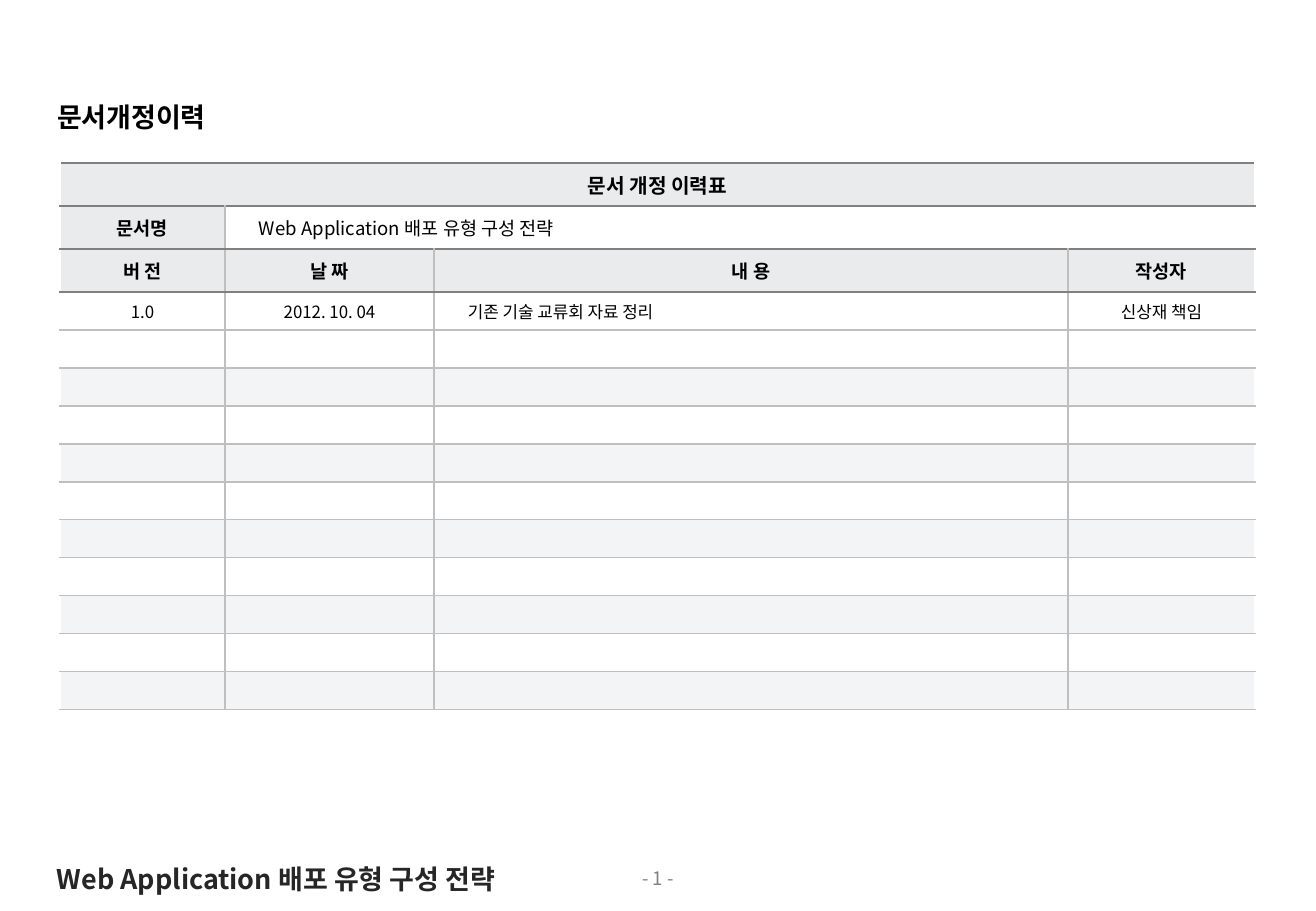
from dataclasses import dataclass

from lxml import etree
from pptx import Presentation
from pptx.dml.color import RGBColor
from pptx.enum.text import MSO_ANCHOR, MSO_AUTO_SIZE, PP_ALIGN
from pptx.oxml.ns import qn
from pptx.util import Pt

LEFT, CENTER = PP_ALIGN.LEFT, PP_ALIGN.CENTER
MIDDLE = MSO_ANCHOR.MIDDLE
NO_AUTOFIT = MSO_AUTO_SIZE.NONE
TITLE_ONLY = 5
EMU_PER_PX = 914400 / 121.5


@dataclass(frozen=True)
class Theme:
    font: str = "Noto Sans CJK KR"
    black: str = "000000"
    white: str = "FFFFFF"
    footer: str = "262626"
    page: str = "808080"
    header_fill: str = "E9EBED"
    band_fill: str = "F3F4F5"
    strong_line: str = "808080"
    light_line: str = "BFBFBF"
    title_size: int = 16
    caption_size: int = 12
    header_size: int = 11
    body_size: int = 10


def px(n):
    return round(n * EMU_PER_PX)


def write(tf, theme, text, size, color=None, bold=False, align=LEFT):
    p = tf.paragraphs[0]
    p.alignment = align
    r = p.add_run()
    r.text = text
    r.font.size, r.font.bold, r.font.name = Pt(size), bold, theme.font
    r.font.color.rgb = RGBColor.from_string(color or theme.black)
    etree.SubElement(r.font._element, qn("a:ea"), typeface=theme.font)


def set_borders(cell, left, right, top, bottom):
    tcPr = cell._tc.get_or_add_tcPr()
    edges = {"lnL": left, "lnR": right, "lnT": top, "lnB": bottom}
    for i, (tag, color) in enumerate(edges.items()):
        ln = etree.Element(qn(f"a:{tag}"), w=str(Pt(1)))
        fill = etree.SubElement(ln, qn("a:solidFill"))
        etree.SubElement(fill, qn("a:srgbClr"), val=color)
        tcPr.insert(i, ln)


class SlideBuilder:
    def __init__(self, prs, theme):
        self.theme = theme
        self.s = prs.slides.add_slide(prs.slide_layouts[TITLE_ONLY])

    def frame(self, sp, text, size, **fmt):
        tf = sp.text_frame
        tf.word_wrap = True
        tf.auto_size = NO_AUTOFIT
        tf.vertical_anchor = MIDDLE
        tf.margin_left = tf.margin_right = px(11)
        tf.margin_top = tf.margin_bottom = 0
        write(tf, self.theme, text, size, **fmt)

    def title(self, text, x, y, w, h):
        sp = self.s.shapes.title
        sp.left, sp.top, sp.width, sp.height = map(px, (x, y, w, h))
        self.frame(sp, text, self.theme.title_size, bold=True)

    def text(self, text, x, y, w, h, size, **fmt):
        sp = self.s.shapes.add_textbox(*map(px, (x, y, w, h)))
        self.frame(sp, text, size, **fmt)

    def table(self, x, y, widths, heights):
        shape = self.s.shapes.add_table(
            len(heights), len(widths), *map(px, (x, y, sum(widths), sum(heights))))
        table = shape.table
        table.first_row = table.horz_banding = False
        for column, w in zip(table.columns, widths):
            column.width = px(w)
        for row, h in zip(table.rows, heights):
            row.height = px(h)
        return table

    def cell(self, cell, text, fill, size, indent=7, **fmt):
        cell.fill.solid()
        cell.fill.fore_color.rgb = RGBColor.from_string(fill)
        cell.vertical_anchor = MIDDLE
        cell.margin_left, cell.margin_right = px(indent), px(7)
        cell.margin_top = cell.margin_bottom = px(4)
        if text:
            write(cell.text_frame, self.theme, text, size, **fmt)
        else:
            p = cell.text_frame.paragraphs[0]
            etree.SubElement(p._p, qn("a:endParaRPr"), sz=str(size * 100))

    def revision_table(self, x, y, widths, heights, rows, head_rows):
        """Fill the history table; the first two rows hold a merged caption and name."""
        t = self.theme
        table = self.table(x, y, widths, heights)
        last = len(widths) - 1
        table.cell(0, 0).merge(table.cell(0, last))
        table.cell(1, 1).merge(table.cell(1, last))
        for i in range(len(heights)):
            texts = rows[i] if i < len(rows) else ()
            dividers = min(i, 1) if i < 2 else last
            head = i < head_rows
            band = t.band_fill if i > head_rows and i % 2 else t.white
            size = t.caption_size if i == 0 else t.header_size if head else t.body_size
            top = t.strong_line if i <= head_rows else t.light_line
            bottom = t.strong_line if head else t.light_line
            for c in range(last + 1):
                cell = table.cell(i, c)
                name = i == 1 and c > 0
                label = head and not name
                indented = (i, c) in ((1, 1), (head_rows, 2))
                self.cell(cell, texts[c] if c < len(texts) else "",
                          t.header_fill if label else band, size,
                          indent=34 if indented else 7, bold=label,
                          align=LEFT if indented else CENTER)
                left, right = (t.light_line if 1 <= edge <= dividers else t.white
                               for edge in (c, c + 1))
                set_borders(cell, left, right, top, bottom)


def main():
    theme = Theme()
    prs = Presentation()
    prs.slide_width, prs.slide_height = px(1316), px(911)
    document = "Web Application 배포 유형 구성 전략"
    rows = [
        ("문서 개정 이력표",),
        ("문서명", document),
        ("버 전", "날 짜", "내 용", "작성자"),
        ("1.0", "2012. 10. 04", "기존 기술 교류회 자료 정리", "신상재 책임"),
    ]

    b = SlideBuilder(prs, theme)
    b.text("- 1 -", 0, 861, 1316, 35, theme.header_size, color=theme.page, align=CENTER)
    b.text(document, 46, 856, 497, 45, theme.title_size, color=theme.footer, bold=True)
    b.revision_table(60, 163, [165, 209, 634, 187], [43] * 3 + [38] * 11, rows, 3)
    b.title("문서개정이력", 46, 94, 188, 45)
    prs.save("out.pptx")


if __name__ == "__main__":
    main()
